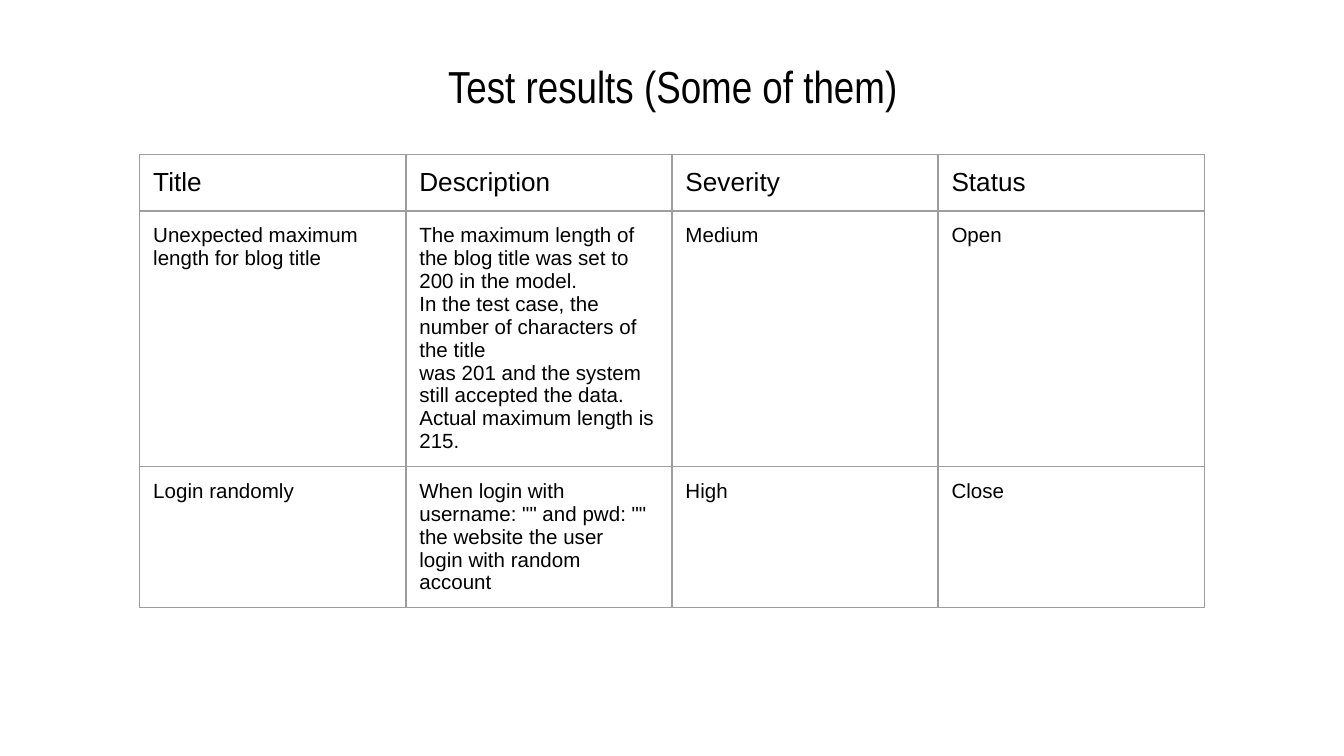
from lxml.etree import SubElement
from pptx import Presentation
from pptx.dml.color import RGBColor
from pptx.enum.text import MSO_ANCHOR, MSO_AUTO_SIZE, PP_ALIGN
from pptx.oxml.ns import qn
from pptx.util import Inches, Pt

BLACK = RGBColor(0x00, 0x00, 0x00)
GREY = RGBColor(0x9E, 0x9E, 0x9E)
WIDE = Inches(10)
HIGH = WIDE * 9 // 16
PAD = Inches(0.1)
COL, ROW = Inches(1.98), Inches(0.42)

HEAD = ["Title", "Description", "Severity", "Status"]
BUGS = [
    ["Unexpected maximum length for blog title",
     "The maximum length of the blog title was set to 200 in the model.\n"
     "In the test case, the number of characters of the title\n"
     "was 201 and the system still accepted the data.\n"
     "Actual maximum length is 215.",
     "Medium", "Open"],
    ["Login randomly",
     'When login with username: "" and pwd: "" the website the user\n'
     "login with random account",
     "High", "Close"],
]


def write(frame, text, size, face, align=PP_ALIGN.LEFT):
    """Put each line of text in a paragraph of its own."""
    for i, line in enumerate(text.split("\n")):
        para = frame.add_paragraph() if i else frame.paragraphs[0]
        para.alignment = align
        run = para.add_run()
        run.text = line
        run.font.size = Pt(size)
        run.font.name = face
        run.font.color.rgb = BLACK


def pad(box):
    box.margin_left = box.margin_right = PAD
    box.margin_top = box.margin_bottom = PAD


def add_edges(cell):
    props = cell._tc.get_or_add_tcPr()
    for i, side in enumerate(("lnL", "lnR", "lnT", "lnB")):
        edge = props.makeelement(qn(f"a:{side}"), {"w": str(Pt(0.75))})
        fill = SubElement(edge, qn("a:solidFill"))
        SubElement(fill, qn("a:srgbClr"), val=str(GREY))
        props.insert(i, edge)


def add_title(slide, text):
    title = slide.shapes.title
    title.left, title.top = Inches(2.33), Inches(0.42)
    title.width, title.height = Inches(5.35), Inches(0.43)
    frame = title.text_frame
    frame.word_wrap = True
    frame.auto_size = MSO_AUTO_SIZE.NONE
    frame.vertical_anchor = MSO_ANCHOR.MIDDLE
    pad(frame)
    write(frame, text, 24, "Arial Narrow", PP_ALIGN.CENTER)


def add_grid(slide, rows):
    count, wide = len(rows), len(rows[0])
    table = slide.shapes.add_table(count, wide, Inches(1.04), Inches(1.15),
                                   COL * wide, ROW * count).table
    table.first_row = table.horz_banding = False
    for r, row in enumerate(rows):
        for c, text in enumerate(row):
            cell = table.cell(r, c)
            cell.fill.background()
            pad(cell)
            add_edges(cell)
            write(cell.text_frame, text, 11 if r else 14, "Arial")


def main():
    deck = Presentation()
    deck.slide_width, deck.slide_height = WIDE, HIGH
    slide = deck.slides.add_slide(deck.slide_layouts[5])
    add_title(slide, "Test results (Some of them)")
    add_grid(slide, [HEAD] + BUGS)
    deck.save("out.pptx")


if __name__ == "__main__":
    main()
